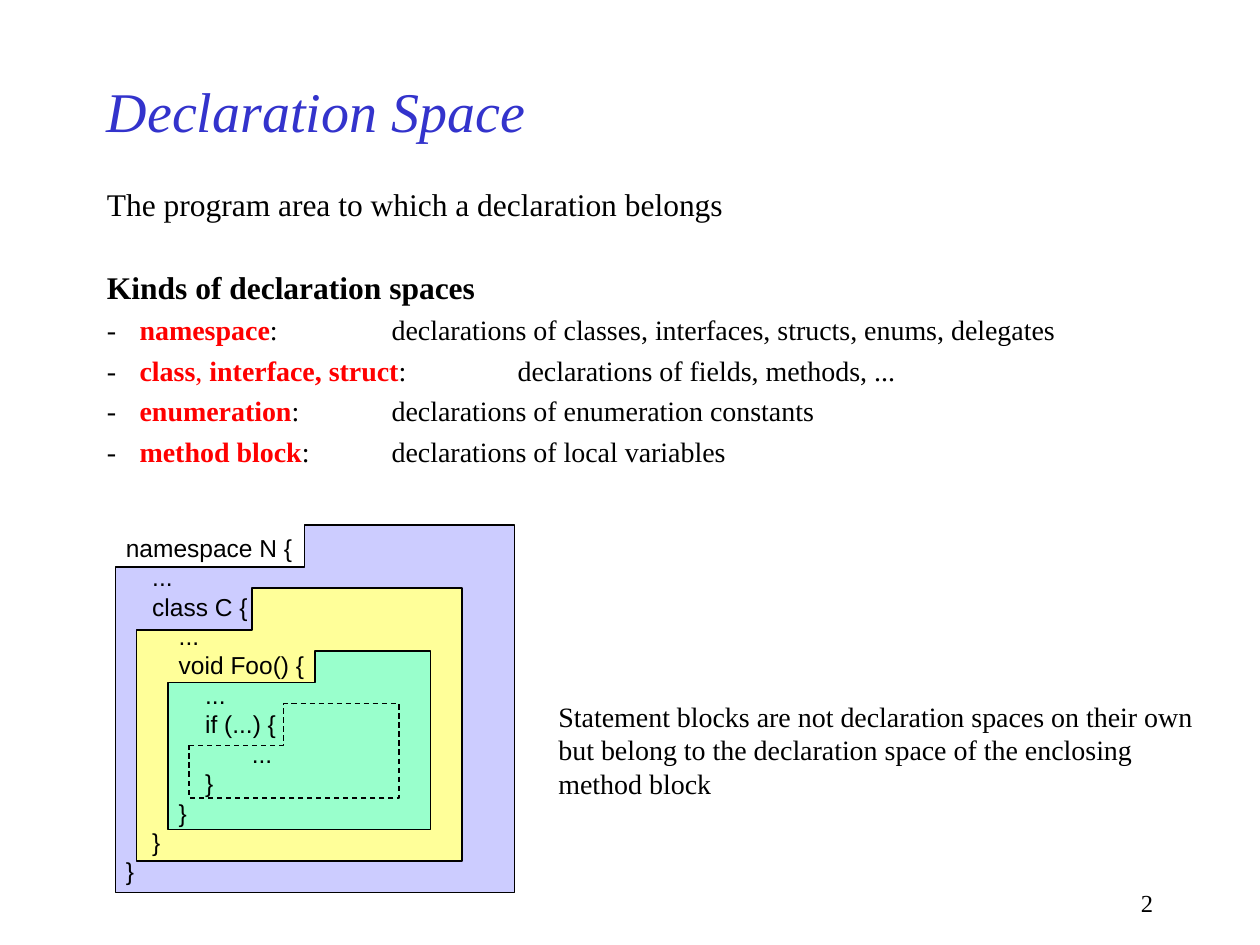
from lxml import etree
from pptx import Presentation
from pptx.dml.color import RGBColor
from pptx.enum.dml import MSO_LINE
from pptx.enum.text import MSO_ANCHOR, PP_ALIGN
from pptx.oxml.ns import qn
from pptx.util import Inches, Pt

COLORS = {
    "title": "3333CC", "text": "000000", "keyword": "FF0000",
    "namespace": "CCCCFF", "class": "FFFF99", "method": "99FFCC",
}
DASH = MSO_LINE.DASH
MIDDLE = MSO_ANCHOR.MIDDLE
RIGHT = PP_ALIGN.RIGHT
SERIF, SANS = "Times New Roman", "Arial"

deck = Presentation()
deck.slide_width, deck.slide_height = Inches(10), Inches(7.5)
CELL = deck.slide_width // 120
slide = deck.slides.add_slide(deck.slide_layouts[6])


def add_text(col, row, cols, rows, lines, size, font=SERIF, color="text"):
    box = slide.shapes.add_textbox(*(round(n * CELL) for n in (col, row, cols, rows)))
    frame = box.text_frame
    frame.word_wrap = True
    for number, parts in enumerate(lines):
        paragraph = frame.paragraphs[0] if number == 0 else frame.add_paragraph()
        for part in parts:
            run = paragraph.add_run()
            run.text = part
            run.font.size, run.font.name = Pt(size), font
            run.font.color.rgb = RGBColor.from_string(COLORS[color])
    return frame


def set_tabs(paragraph, stops):
    properties = paragraph._p.get_or_add_pPr()
    properties.set("defTabSz", str(Inches(1)))
    tab_list = etree.SubElement(properties, qn("a:tabLst"))
    for stop in stops:
        etree.SubElement(tab_list, qn("a:tab"), pos=str(Inches(stop)), algn="l")


scopes = [
    ("namespace", 11, 50, 49, 85, 29, 54),
    ("class", 13, 56, 44, 82, 24, 60),
    ("method", 16, 62, 41, 79, 30, 65),
    (None, 18, 67, 38, 76, 27, 71),
]
for fill, left, top, right, bottom, notch_col, notch_row in scopes:
    outline = slide.shapes.build_freeform(left, notch_row, scale=CELL)
    outline.add_line_segments([
        (notch_col, notch_row), (notch_col, top), (right, top),
        (right, bottom), (left, bottom),
    ])
    scope = outline.convert_to_shape()
    scope.shadow.inherit = False
    scope.line.color.rgb = RGBColor.from_string(COLORS["text"])
    scope.line.width = Pt(0.75)
    if fill:
        scope.fill.solid()
        scope.fill.fore_color.rgb = RGBColor.from_string(COLORS[fill])
    else:
        scope.fill.background()
        scope.line.dash_style = DASH

title = add_text(9, 6, 90, 9, [["Declaration Space"]], 32, color="title")
title.vertical_anchor = MIDDLE
title.paragraphs[0].runs[0].font.italic = True

kinds = [
    ["-\t", "namespace", ":\tdeclarations of classes, interfaces, structs, enums, delegates"],
    ["-\t", "class", ", ", "interface, struct", ":\tdeclarations of fields, methods, ..."],
    ["-\t", "enumeration", ":\tdeclarations of enumeration constants"],
    ["-\t", "method block", ": \tdeclarations of local variables"],
]
intro = [["The program area to which a declaration belongs"], ["Kinds of declaration spaces"]]
body = add_text(9, 17, 105, 29, intro + kinds, 16)
for paragraph, space in zip(body.paragraphs, [4.5, 26] + [4] * len(kinds)):
    paragraph.space_before = Pt(space)
    properties = paragraph._p.get_or_add_pPr()
    properties.set("marL", str(Inches(0.26)))
    properties.set("indent", str(-Inches(0.26)))
    set_tabs(paragraph, [2.25, 3.25])
    for run in paragraph.runs[1:-1]:
        run.font.bold = run.text != ", "
        run.font.color.rgb = RGBColor.from_string(COLORS["keyword"])
for paragraph in body.paragraphs[:2]:
    paragraph.runs[0].font.size = Pt(18)
body.paragraphs[1].runs[0].font.bold = True

code = [
    (0, "namespace N {"), (1, "..."), (1, "class C {"), (2, "..."),
    (2, "void Foo() {"), (3, "..."), (3, "if (...) {"), (4, "..."),
    (3, "}"), (2, "}"), (1, "}"), (0, "}"),
]
code_lines = [["\t" * depth + statement] for depth, statement in code]
listing = add_text(10.8, 50.16, 20.5, 34.8, code_lines, 14, SANS)
for paragraph in listing.paragraphs:
    set_tabs(paragraph, [0.21, 0.42, 0.63, 1])

add_text(52, 66, 64, 10.8, [
    ["Statement blocks are not declaration spaces on their own"],
    ["but belong to the declaration space of the enclosing"],
    ["method block"],
], 16)

page_number = add_text(86, 84, 25, 4, [["2"]], 14)
page_number.paragraphs[0].alignment = RIGHT

deck.save("out.pptx")
